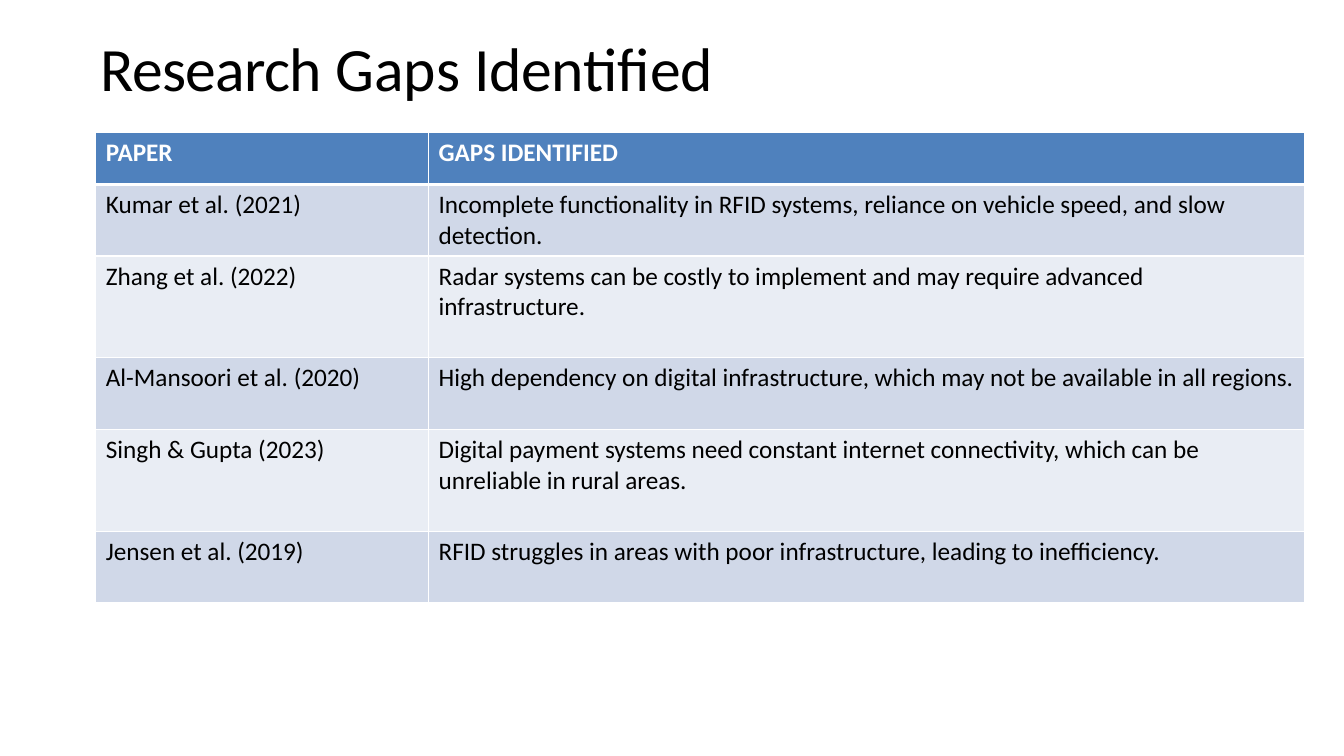
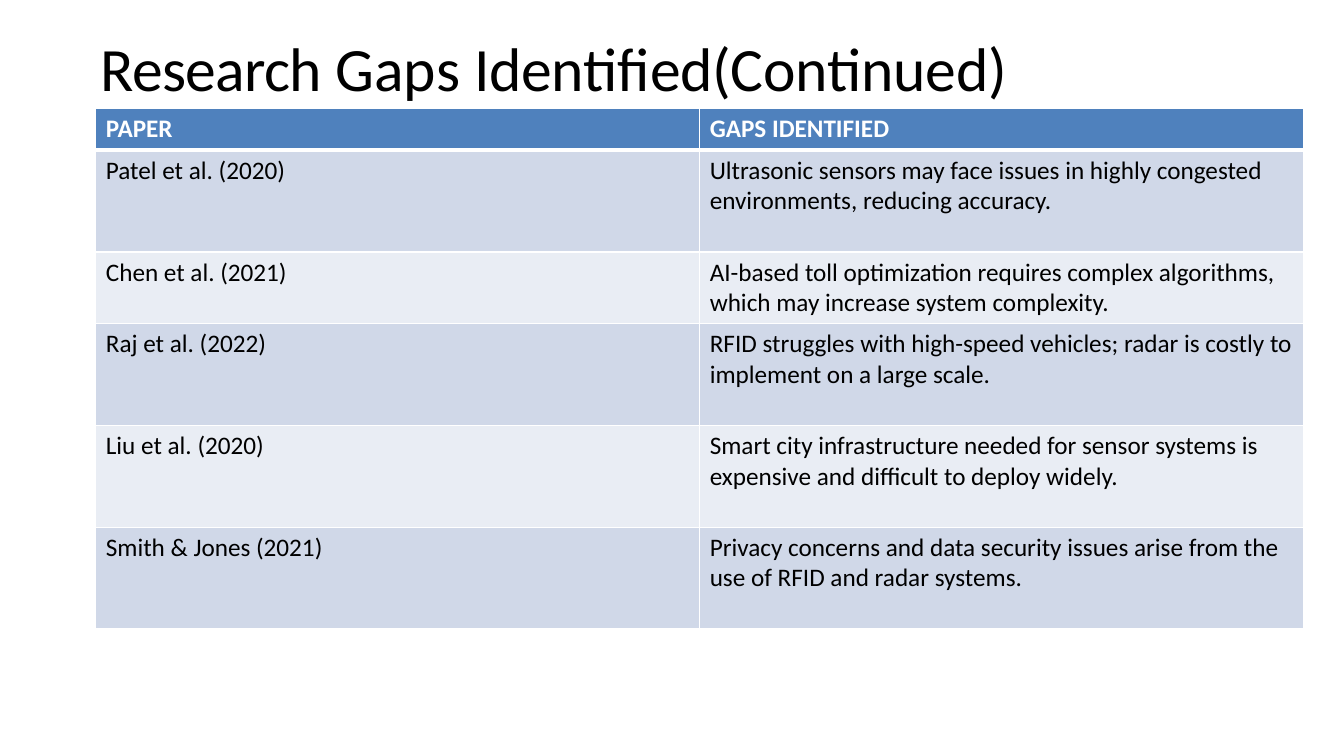
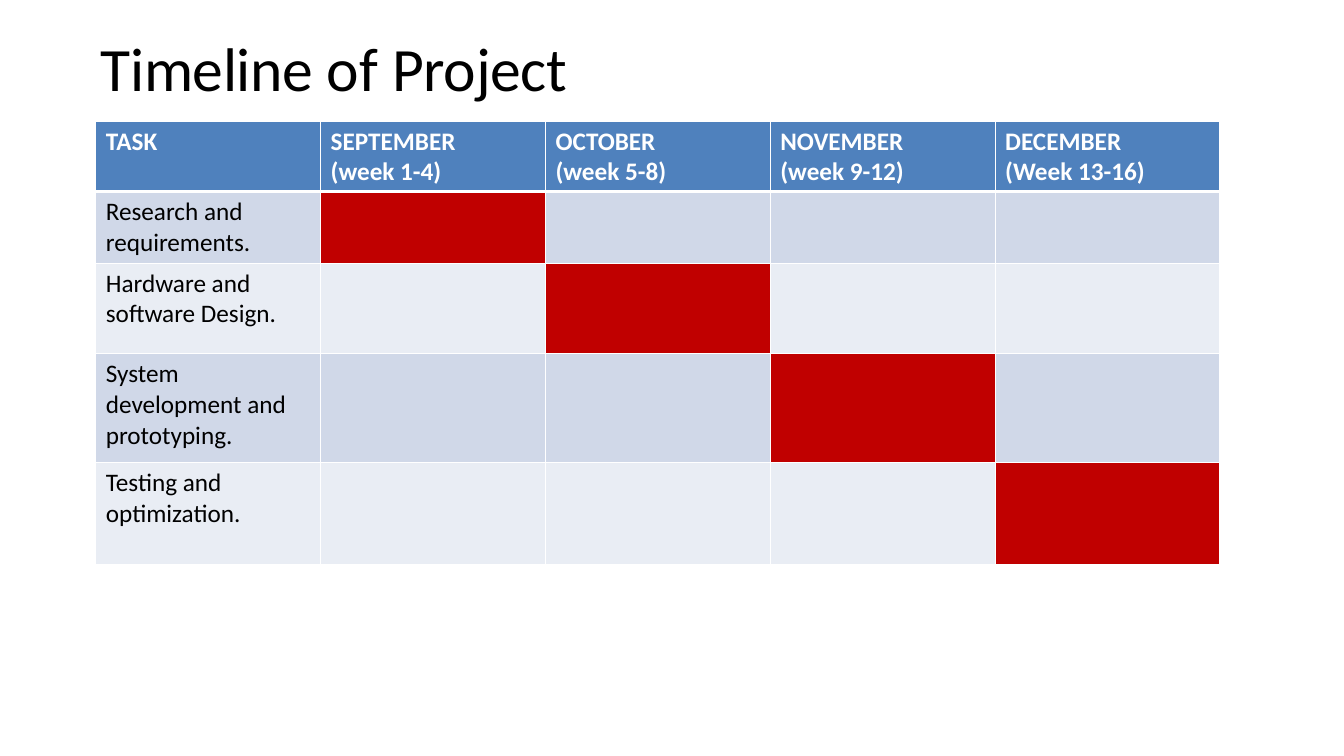
from lxml import etree
from pptx import Presentation
from pptx import util as u
from pptx.dml.color import RGBColor
from pptx.oxml.ns import qn

# Shared style
FONT = "Calibri"
BLACK, WHITE = "000000", "FFFFFF"
HEADER_FILL, BAND_FILLS, ACTIVE_FILL = "4F81BD", ("D0D8E8", "E9EDF4"), "C00000"
TITLE_BOX = (1, 0.3, 9.78, 0.74)
TABLE_LEFT = 0.95
THIN, THICK = 1, 3
ONE_LINE, TWO_LINES, THREE_LINES = 0.41, 0.71, 1.01

# Content: title runs are (text, letter spacing in points)
GAPS_HEADER = ("PAPER", "GAPS IDENTIFIED")
GAPS_TITLE = [("Research ", -0.5), ("Gaps ", 0)]
ACTIVE = object()

SLIDES = [
    {
        "title": GAPS_TITLE + [("Identified", -0.2)],
        "top": 1.31,
        "columns": (3.3, 8.69),
        "heights": (0.52, TWO_LINES, THREE_LINES, TWO_LINES, THREE_LINES, TWO_LINES),
        "rows": [
            GAPS_HEADER,
            ("Kumar et al. (2021)", "Incomplete functionality in RFID systems, "
             "reliance on vehicle speed, and slow detection."),
            ("Zhang et al. (2022)", "Radar systems can be costly to implement "
             "and may require advanced infrastructure."),
            ("Al-Mansoori et al. (2020)", "High dependency on digital infrastructure, "
             "which may not be available in all regions."),
            ("Singh & Gupta (2023)", "Digital payment systems need constant internet "
             "connectivity, which can be unreliable in rural areas."),
            ("Jensen et al. (2019)", "RFID struggles in areas with poor infrastructure, "
             "leading to inefficiency."),
        ],
    },
    {
        "title": GAPS_TITLE + [("Identified(Continued)", -0.2)],
        "top": 1.08,
        "columns": (5.99, 5.99),
        "heights": (ONE_LINE, THREE_LINES, TWO_LINES) + (THREE_LINES,) * 3,
        "rows": [
            GAPS_HEADER,
            ("Patel et al. (2020)", "Ultrasonic sensors may face issues in highly "
             "congested environments, reducing accuracy."),
            ("Chen et al. (2021)", "AI-based toll optimization requires complex "
             "algorithms, which may increase system complexity."),
            ("Raj et al. (2022)", "RFID struggles with high-speed vehicles; radar is "
             "costly to implement on a large scale."),
            ("Liu et al. (2020)", "Smart city infrastructure needed for sensor systems "
             "is expensive and difficult to deploy widely."),
            ("Smith & Jones (2021)", "Privacy concerns and data security issues arise "
             "from the use of RFID and radar systems."),
        ],
    },
    {
        "title": [("Timeline ", -0.3), ("of ", 0), ("Project", -0.2)],
        "top": 1.2,
        "columns": (2.23,) * 5,
        "heights": (0.7, TWO_LINES, 0.9, 1.08, THREE_LINES),
        "rows": [
            ("TASK", "SEPTEMBER\n(week 1-4)", "OCTOBER\n(week 5-8)",
             "NOVEMBER\n(week 9-12)", "DECEMBER\n(Week 13-16)"),
            ("Research and requirements.", ACTIVE, "", "", ""),
            ("Hardware and software Design.", "", ACTIVE, "", ""),
            ("System development and prototyping.", "", "", ACTIVE, ""),
            ("Testing and optimization.", "", "", "", ACTIVE),
        ],
    },
]


def rgb(color):
    return RGBColor.from_string(color)


def add_text(paragraph, text, size=18, color=BLACK, bold=False, spacing=0):
    run = paragraph.add_run()
    run.text = text
    font = run.font
    font.name, font.size, font.bold = FONT, u.Pt(size), bold
    font.color.rgb = rgb(color)
    if spacing:
        run._r.get_or_add_rPr().set("spc", str(round(spacing * 100)))


def add_title(slide, runs):
    frame = slide.shapes.add_textbox(*map(u.Inches, TITLE_BOX)).text_frame
    frame.word_wrap = True
    frame.margin_left = frame.margin_right = frame.margin_top = frame.margin_bottom = 0
    for text, spacing in runs:
        add_text(frame.paragraphs[0], text, size=44, spacing=spacing)


def set_borders(cell, top, bottom):
    properties = cell._tc.get_or_add_tcPr()
    for side, width in (("L", THIN), ("R", THIN), ("T", top), ("B", bottom)):
        line = etree.SubElement(properties, qn("a:ln" + side), w=str(u.Pt(width)))
        fill = etree.SubElement(line, qn("a:solidFill"))
        etree.SubElement(fill, qn("a:srgbClr"), val=WHITE)


def fill_cell(cell, content, row):
    header = row == 0
    set_borders(cell, top=THICK if row == 1 else THIN, bottom=THICK if header else THIN)
    cell.fill.solid()
    if content is ACTIVE:
        cell.fill.fore_color.rgb = rgb(ACTIVE_FILL)
        return
    cell.fill.fore_color.rgb = rgb(HEADER_FILL if header else BAND_FILLS[(row - 1) % 2])
    if not content:
        return
    frame = cell.text_frame
    for index, line in enumerate(content.split("\n")):
        paragraph = frame.add_paragraph() if index else frame.paragraphs[0]
        add_text(paragraph, line, color=WHITE if header else BLACK, bold=header)


def add_grid(slide, top, columns, heights, rows):
    box = map(u.Inches, (TABLE_LEFT, top, sum(columns), sum(heights)))
    table = slide.shapes.add_table(len(rows), len(columns), *box).table
    for column, width in zip(table.columns, columns):
        column.width = u.Inches(width)
    for row, height in zip(table.rows, heights):
        row.height = u.Inches(height)
    for r, row in enumerate(rows):
        for c, content in enumerate(row):
            fill_cell(table.cell(r, c), content, r)


def main():
    presentation = Presentation()
    presentation.slide_width, presentation.slide_height = u.Inches(13.33), u.Inches(7.5)
    for data in SLIDES:
        slide = presentation.slides.add_slide(presentation.slide_layouts[6])
        add_title(slide, data["title"])
        add_grid(slide, data["top"], data["columns"], data["heights"], data["rows"])
    presentation.save("out.pptx")


if __name__ == "__main__":
    main()
